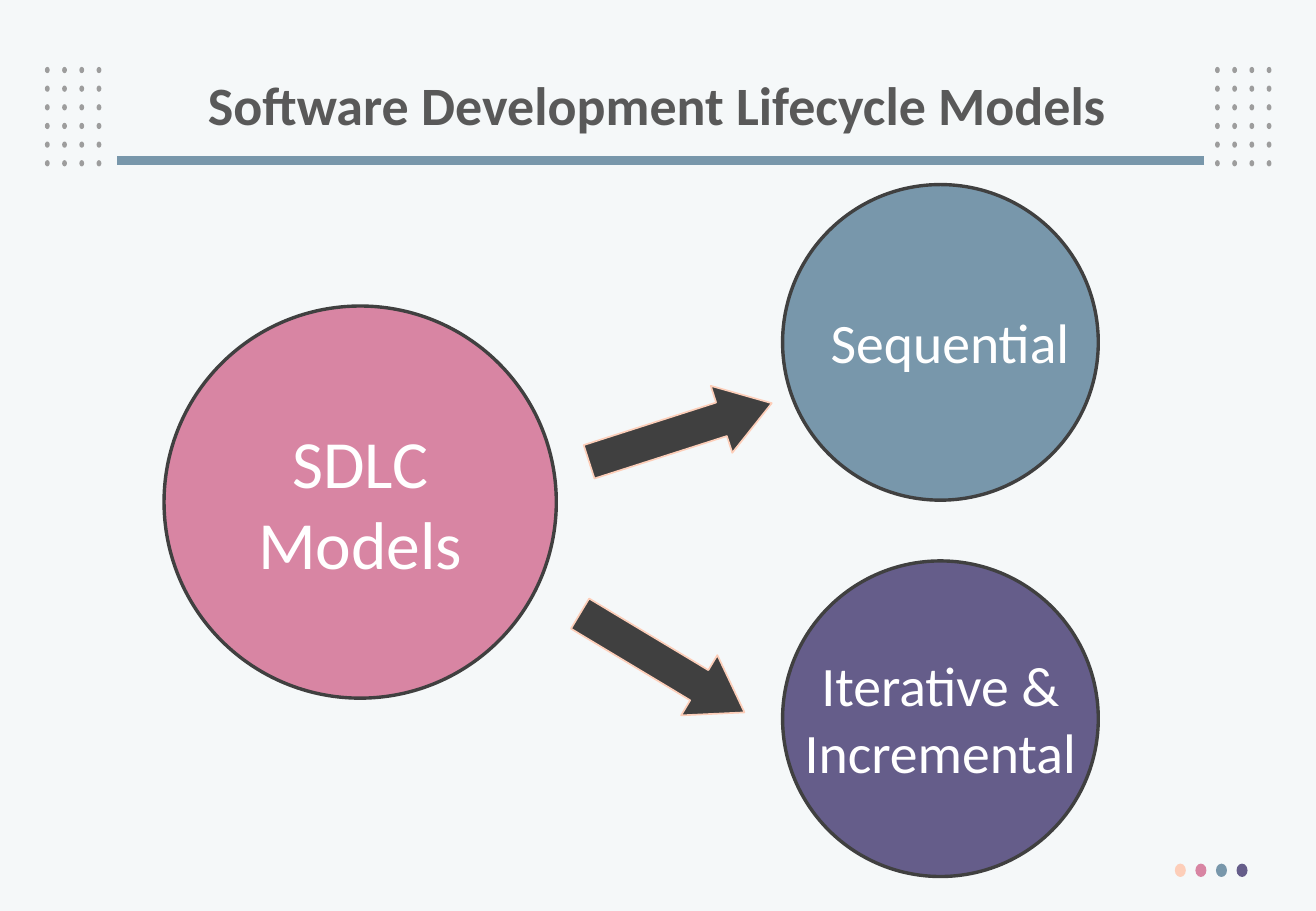
from dataclasses import dataclass
from itertools import product
from typing import Any

from lxml.etree import SubElement
from pptx import Presentation
from pptx.dml.color import RGBColor
from pptx.enum.shapes import MSO_CONNECTOR, MSO_SHAPE
from pptx.enum.text import MSO_ANCHOR, MSO_AUTO_SIZE, PP_ALIGN
from pptx.oxml.ns import qn
from pptx.shapes.autoshape import Shape
from pptx.slide import Slide
from pptx.text.text import TextFrame
from pptx.util import Cm, Pt


@dataclass(frozen=True)
class Theme:
    font: str = "Calibri"
    background: str = "F5F8F9"
    title: str = "595959"
    text: str = "FFFFFF"
    dark: str = "404040"
    dot: str = "9D9D9D"
    peach: str = "FDCEB9"
    pink: str = "D885A3"
    blue: str = "7897AB"
    violet: str = "655D8A"
    title_size: int = 32
    main_size: int = 40
    label_size: int = 33
    outline_width: float = 2
    arrow_outline_width: float = 1
    rule_width: float = 5.25


THEME = Theme()


@dataclass(frozen=True)
class Box:
    left: float
    top: float
    width: float
    height: float

    def lengths(self) -> tuple[Cm, Cm, Cm, Cm]:
        return Cm(self.left), Cm(self.top), Cm(self.width), Cm(self.height)


@dataclass(frozen=True)
class Circle:
    left: float
    top: float
    diameter: float
    color: str
    text: str = ""


@dataclass(frozen=True)
class Arrow:
    left: float
    top: float
    rotation: float


@dataclass(frozen=True)
class Label:
    box: Box
    text: str


CIRCLES = [
    Circle(3.43, 6.4, 8.2, THEME.pink, "SDLC Models"),
    Circle(16.36, 3.86, 6.6, THEME.blue),
    Circle(16.36, 11.73, 6.6, THEME.violet),
]
ARROWS = [Arrow(12.22, 8.31, 342.2), Arrow(11.84, 13.13, 31)]
LABELS = [
    Label(Box(15.95, 6.32, 7.82, 1.68), "Sequential"),
    Label(Box(15.75, 13.49, 7.82, 3.07), "Iterative & Incremental"),
]


def apply_format(target: Any, values: dict[str, Any]) -> None:
    for name, value in values.items():
        setattr(target, name, value)


def write_text(frame: TextFrame, text: str, size: int, color: str, bold: bool = False) -> None:
    apply_format(frame, {"text": text, "word_wrap": True})
    paragraph = frame.paragraphs[0]
    paragraph.alignment = PP_ALIGN.CENTER
    font = paragraph.runs[0].font
    apply_format(font, {"name": THEME.font, "size": Pt(size), "bold": bold})
    font.color.rgb = RGBColor.from_string(color)


def add_filled_shape(slide: Slide, kind: MSO_SHAPE, box: Box, fill: str,
                     outline: str | None = None, width: float = 0) -> Shape:
    shape = slide.shapes.add_shape(kind, *box.lengths())
    shape.shadow.inherit = False
    shape.fill.solid()
    shape.fill.fore_color.rgb = RGBColor.from_string(fill)
    if outline:
        shape.line.color.rgb = RGBColor.from_string(outline)
        shape.line.width = Pt(width)
    else:
        shape.line.fill.background()
    return shape


def add_decoration(slide: Slide) -> None:
    for left, row, column in product((0.94, 25.4), range(6), range(4)):
        dot = Box(left + 0.36 * column, 1.4 + 0.39 * row, 0.1, 0.13)
        add_filled_shape(slide, MSO_SHAPE.OVAL, dot, THEME.dot)
    for index, color in enumerate((THEME.peach, THEME.pink, THEME.blue, THEME.violet)):
        dot = Box(24.56 + 0.43 * index, 18.06, 0.23, 0.28)
        add_filled_shape(slide, MSO_SHAPE.OVAL, dot, color)
    rule = slide.shapes.add_connector(
        MSO_CONNECTOR.STRAIGHT, Cm(25.17), Cm(3.35), Cm(2.44), Cm(3.35))
    rule.line.color.rgb = RGBColor.from_string(THEME.blue)
    rule.line.width = Pt(THEME.rule_width)
    SubElement(rule._element.spPr, qn("a:effectLst"))


def add_title(slide: Slide) -> None:
    title = slide.shapes.title
    names = ("left", "top", "width", "height")
    apply_format(title, dict(zip(names, Box(1.88, 1.02, 23.72, 2.49).lengths())))
    frame = title.text_frame
    write_text(frame, "Software Development Lifecycle Models",
               THEME.title_size, THEME.title, bold=True)
    frame.vertical_anchor = MSO_ANCHOR.MIDDLE
    frame.paragraphs[0].line_spacing = 0.9


def add_circle(slide: Slide, circle: Circle) -> None:
    box = Box(circle.left, circle.top, circle.diameter, circle.diameter)
    shape = add_filled_shape(slide, MSO_SHAPE.OVAL, box, circle.color,
                             THEME.dark, THEME.outline_width)
    if circle.text:
        write_text(shape.text_frame, circle.text, THEME.main_size, THEME.text)
        shape.text_frame.vertical_anchor = MSO_ANCHOR.MIDDLE


def add_arrow(slide: Slide, arrow: Arrow) -> None:
    shape = add_filled_shape(slide, MSO_SHAPE.RIGHT_ARROW, Box(arrow.left, arrow.top, 4.01, 1.47),
                             THEME.dark, THEME.peach, THEME.arrow_outline_width)
    shape.adjustments[1] = 0.75
    shape.rotation = arrow.rotation


def add_label(slide: Slide, label: Label) -> None:
    frame = slide.shapes.add_textbox(*label.box.lengths()).text_frame
    write_text(frame, label.text, THEME.label_size, THEME.text)
    frame.auto_size = MSO_AUTO_SIZE.SHAPE_TO_FIT_TEXT


def main() -> None:
    presentation = Presentation()
    apply_format(presentation, {"slide_width": Cm(27.51), "slide_height": Cm(19.05)})
    slide = presentation.slides.add_slide(presentation.slide_layouts[5])
    slide.background.fill.solid()
    slide.background.fill.fore_color.rgb = RGBColor.from_string(THEME.background)
    add_decoration(slide)
    add_title(slide)
    for circle in CIRCLES:
        add_circle(slide, circle)
    for arrow in ARROWS:
        add_arrow(slide, arrow)
    for label in LABELS:
        add_label(slide, label)
    presentation.save("out.pptx")


if __name__ == "__main__":
    main()
